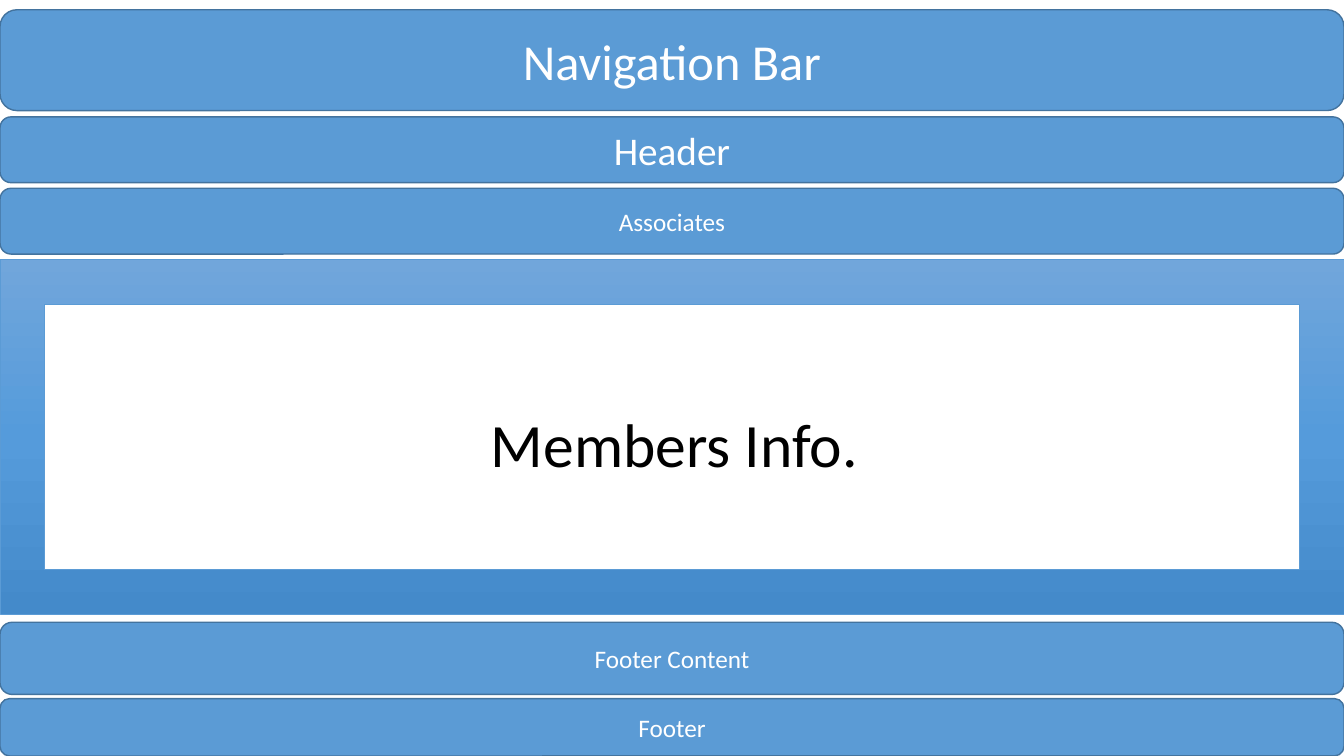
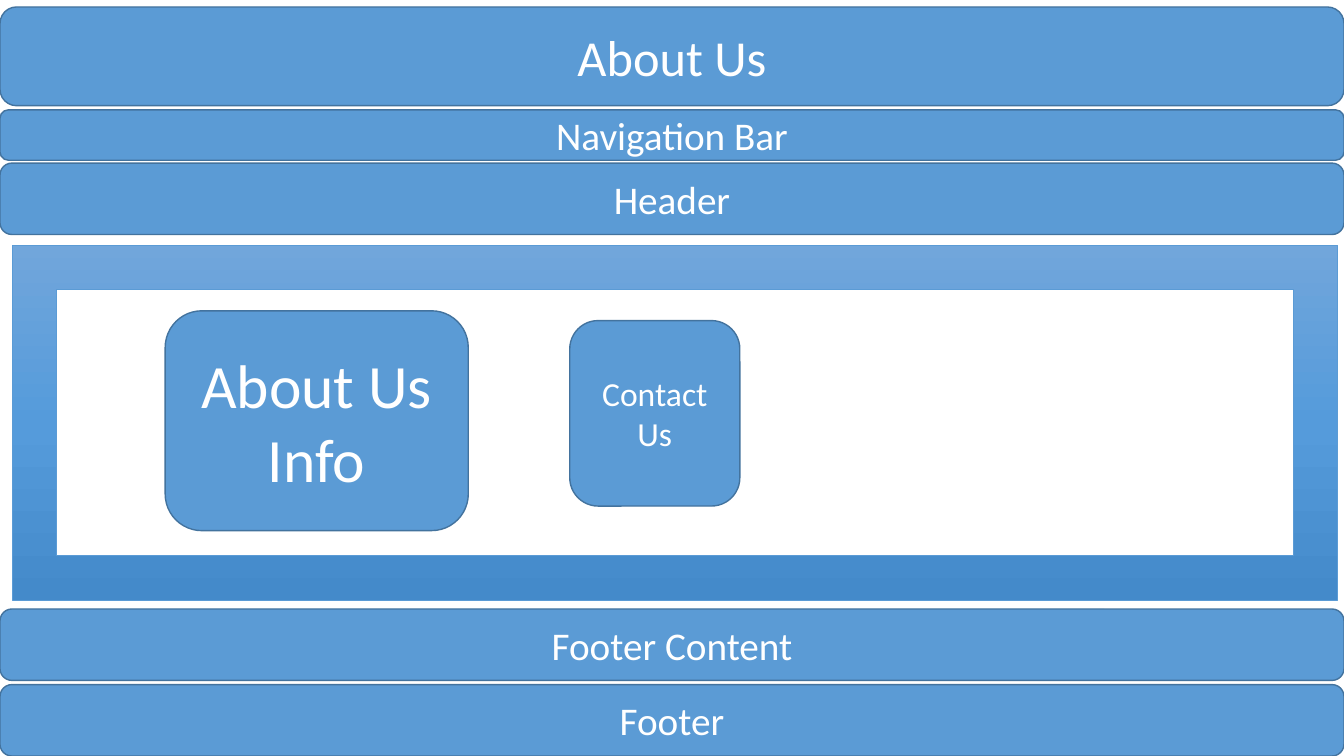
from copy import deepcopy

from pptx import Presentation
from pptx.dml.color import RGBColor
from pptx.enum.shapes import MSO_SHAPE
from pptx.enum.text import MSO_ANCHOR, MSO_AUTO_SIZE, PP_ALIGN
from pptx.oxml.ns import qn
from pptx.util import Pt

ROUND, FRAME = MSO_SHAPE.ROUNDED_RECTANGLE, MSO_SHAPE.FRAME
MIDDLE, CENTER, LEFT = MSO_ANCHOR.MIDDLE, PP_ALIGN.CENTER, PP_ALIGN.LEFT
GROW = MSO_AUTO_SIZE.SHAPE_TO_FIT_TEXT

BLUE = RGBColor(0x5B, 0x9B, 0xD5)
EDGE = RGBColor(0x43, 0x73, 0x9E)
WHITE = RGBColor(0xFF, 0xFF, 0xFF)
BLACK = RGBColor(0x00, 0x00, 0x00)
SHADES = (
    (0, RGBColor(0x71, 0xA6, 0xDB)),
    (0.5, RGBColor(0x55, 0x9B, 0xDB)),
    (1, RGBColor(0x44, 0x8A, 0xCA)),
)
WIDE, HIGH = 960, 540
BLANK = 6


class Deck:
    """Holds the style, the presentation and the current slide."""

    font = {"name": "Calibri", "bold": False}
    label = {"word_wrap": True, "vertical_anchor": MIDDLE}
    note = {"word_wrap": False, "auto_size": GROW}

    def __init__(self):
        self.prs = Presentation()
        self.prs.slide_width, self.prs.slide_height = Pt(WIDE), Pt(HIGH)

    def start(self):
        """Add a blank slide and make it current."""
        layout = self.prs.slide_layouts[BLANK]
        self.shapes = self.prs.slides.add_slide(layout).shapes

    def fill_text(self, shape, text, size, color, align, form):
        frame = shape.text_frame
        for key, value in form.items():
            setattr(frame, key, value)
        para = frame.paragraphs[0]
        para.alignment = align
        run = para.add_run()
        run.text = text
        for key, value in {**self.font, "size": Pt(size)}.items():
            setattr(run.font, key, value)
        run.font.color.rgb = color

    def shape(self, kind, box, edge, weight):
        shape = self.shapes.add_shape(kind, *map(Pt, box))
        shape.shadow.inherit = False
        shape.line.color.rgb = edge
        shape.line.width = Pt(weight)
        return shape

    def block(self, text, size, *box):
        """Add a rounded blue block with a centred label."""
        shape = self.shape(ROUND, box, EDGE, 1)
        shape.fill.solid()
        shape.fill.fore_color.rgb = BLUE
        self.fill_text(shape, text, size, WHITE, CENTER, self.label)

    def bands(self, rows):
        """Add full-width blocks from (text, size, top, height) rows."""
        for text, size, top, height in rows:
            self.block(text, size, 0, top, WIDE, height)

    def frame(self, *box):
        """Add a hollow frame, shaded from top to bottom."""
        shape = self.shape(FRAME, box, BLUE, 0.5)
        fill = shape.fill
        fill.gradient()
        fill.gradient_angle = 270
        stops = next(shape.element.iter(qn("a:gsLst")))
        stops.append(deepcopy(stops[-1]))
        for stop, (place, color) in zip(fill.gradient_stops, SHADES):
            stop.position = place
            stop.color.rgb = color

    def text(self, text, size, *box):
        shape = self.shapes.add_textbox(*map(Pt, box))
        self.fill_text(shape, text, size, BLACK, LEFT, self.note)


def members(deck):
    deck.start()
    deck.bands((
        ("Navigation Bar", 36, 7, 72),
        ("Header", 28, 83.5, 47),
        ("Associates", 18, 134.5, 47),
        ("Footer", 18, 499, 41),
        ("Footer Content", 18, 444.5, 51.5),
    ))
    deck.frame(0, 185.5, WIDE, 253)
    deck.text("Members Info.", 44, 343.5, 286.5, 281.5, 60.5)


def about(deck):
    deck.start()
    deck.bands((
        ("About Us", 36, 5, 70.5),
        ("Navigation Bar", 28, 78.5, 36),
        ("Header", 28, 116.5, 51),
        ("Footer Content", 28, 435, 51),
        ("Footer", 28, 489, 51),
    ))
    deck.block("About Us Info", 44, 118, 222, 216.5, 157)
    deck.block("Contact Us", 24, 407, 229, 121.5, 132.5)
    deck.frame(8.5, 175, 947, 253.5)


def main():
    deck = Deck()
    members(deck)
    about(deck)
    deck.prs.save("out.pptx")


if __name__ == "__main__":
    main()
